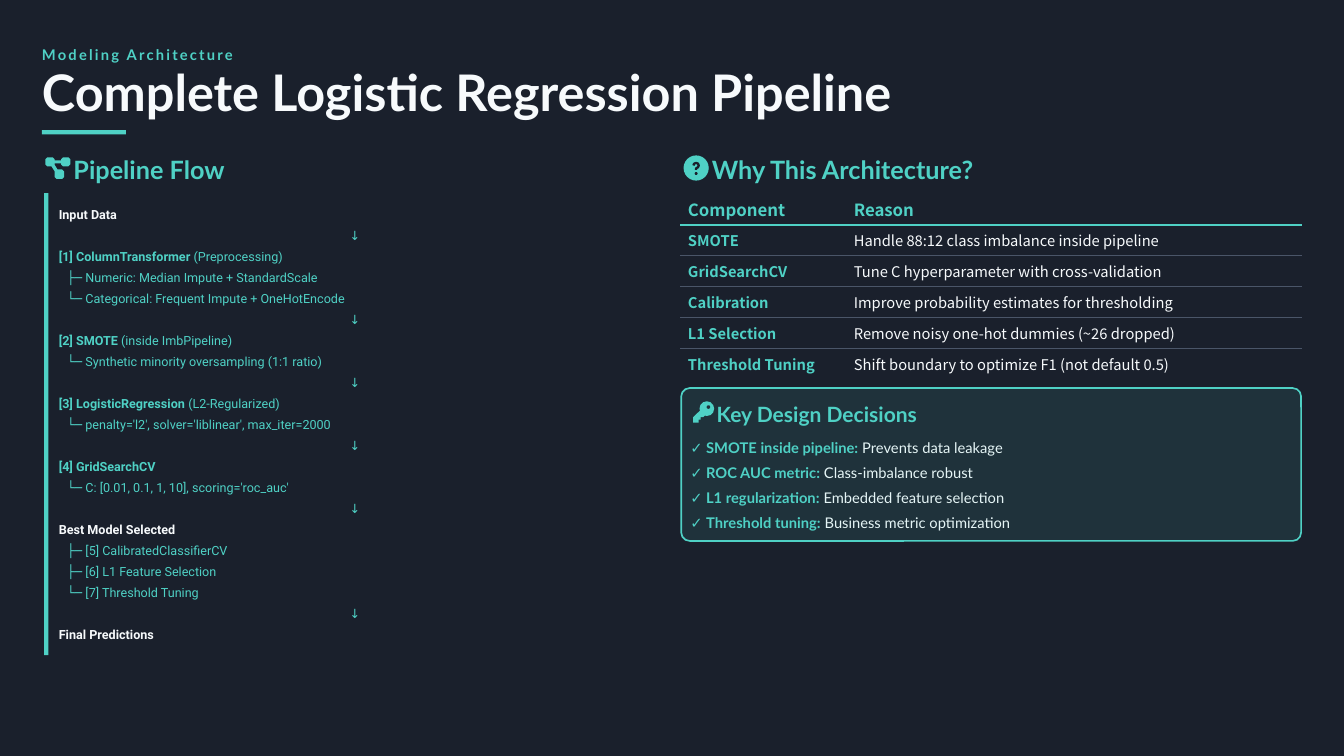
"""Build a slide that explains a logistic regression pipeline and its design."""
from lxml.etree import SubElement
from pptx import Presentation
from pptx.dml.color import RGBColor
from pptx.enum.shapes import MSO_SHAPE as Shape
from pptx.enum.text import MSO_ANCHOR as Anchor, MSO_AUTO_SIZE as AutoSize, PP_ALIGN as Align
from pptx.oxml import parse_xml
from pptx.oxml.ns import nsdecls, qn
from pptx.util import Pt

COLORS = {"ground": "1A202C", "teal": "4FD1C5", "white": "F7FAFC", "rule": "4A5568", "hole": "1F323B"}

STYLES = {
    "kicker": ("teal", {"name": "Lato", "size": Pt(14), "bold": True}),
    "title": ("white", {"name": "Lato", "size": Pt(48), "bold": True}),
    "heading": ("teal", {"name": "Lato", "size": Pt(24), "bold": True}),
    "card heading": ("teal", {"name": "Lato", "size": Pt(20), "bold": True}),
    "term": ("teal", {"name": "Lato", "size": Pt(14), "bold": True}),
    "note": ("white", {"name": "Lato", "size": Pt(14), "bold": False}),
    "endpoint": ("white", {"name": "Roboto", "size": Pt(12), "bold": True}),
    "step": ("teal", {"name": "Roboto", "size": Pt(12), "bold": True}),
    "detail": ("teal", {"name": "Roboto", "size": Pt(12), "bold": False}),
    "column": ("teal", {"name": "Noto Sans CJK SC", "size": Pt(16), "bold": True}),
    "component": ("teal", {"name": "Noto Sans CJK SC", "size": Pt(14), "bold": True}),
    "reason": ("white", {"name": "Noto Sans CJK SC", "size": Pt(14), "bold": False}),
}

ARROW = [("↓", "detail")]
FLOW = [
    [("Input Data", "endpoint")],
    ARROW,
    [("[1] ColumnTransformer", "step"), (" (Preprocessing)", "detail")],
    [("├─ Numeric: Median Impute + StandardScale", "detail")],
    [("└─ Categorical: Frequent Impute + OneHotEncode", "detail")],
    ARROW,
    [("[2] SMOTE", "step"), (" (inside ImbPipeline)", "detail")],
    [("└─ Synthetic minority oversampling (1:1 ratio)", "detail")],
    ARROW,
    [("[3] LogisticRegression", "step"), (" (L2-Regularized)", "detail")],
    [("└─ penalty='l2', solver='liblinear', max_iter=2000", "detail")],
    ARROW,
    [("[4] GridSearchCV", "step")],
    [("└─ C: [0.01, 0.1, 1, 10], scoring='roc_auc'", "detail")],
    ARROW,
    [("Best Model Selected", "endpoint")],
    [("├─ [5] CalibratedClassifierCV", "detail")],
    [("├─ [6] L1 Feature Selection", "detail")],
    [("└─ [7] Threshold Tuning", "detail")],
    ARROW,
    [("Final Predictions", "endpoint")],
]
REASONS = [
    ("Component", "Reason"),
    ("SMOTE", "Handle 88:12 class imbalance inside pipeline"),
    ("GridSearchCV", "Tune C hyperparameter with cross-validation"),
    ("Calibration", "Improve probability estimates for thresholding"),
    ("L1 Selection", "Remove noisy one-hot dummies (~26 dropped)"),
    ("Threshold Tuning", "Shift boundary to optimize F1 (not default 0.5)"),
]
DECISIONS = [
    ("SMOTE inside pipeline:", " Prevents data leakage"),
    ("ROC AUC metric:", " Class-imbalance robust"),
    ("L1 regularization:", " Embedded feature selection"),
    ("Threshold tuning:", " Business metric optimization"),
]
NETWORK = [
    (43.2, 151.6), (45, 149.8), (50.2, 149.8), (52, 151.6), (52, 152.8), (58.2, 152.8), (58.2, 151.6),
    (60, 149.8), (65.2, 149.8), (67, 151.6), (67, 156.6), (65.2, 158.4), (60, 158.4), (58.2, 156.6),
    (58.2, 155.6), (52, 155.6), (52, 156.8), (54.8, 161.4), (59.2, 161.4), (61, 163.2), (61, 168.6),
    (59.2, 170.4), (53.8, 170.4), (52, 168.6), (52, 163), (49, 158.4), (45, 158.4), (43.2, 156.6),
]
QUESTION = [(660.4, 157.6), (661.2, 155.8), (663, 155.2), (664.8, 155.8), (665.5, 157.6),
            (664.8, 159.3), (663, 160.4), (663, 161.8)]
KEY = [(666.7, 391), (660.2, 397.4), (660.2, 402.5), (665.3, 402.5), (665.3, 399.6),
       (667.4, 399.6), (667.4, 397.4), (669.6, 397.4), (671.8, 395.3)]


def color(name):
    """Return the named colour."""
    return RGBColor.from_string(COLORS[name])


class Deck:
    """Hold the style and the current slide, and add elements in points."""

    def __init__(self):
        self.presentation = Presentation()
        self.presentation.slide_width, self.presentation.slide_height = Pt(1280), Pt(720)
        self.slide = self.presentation.slides.add_slide(self.presentation.slide_layouts[1])
        self.slide.background.fill.solid()
        self.slide.background.fill.fore_color.rgb = color("ground")

    def runs(self, paragraph, runs):
        for text, style in runs:
            run = paragraph.add_run()
            run.text = text
            color_name, values = STYLES[style]
            for key, value in values.items():
                setattr(run.font, key, value)
            run.font.color.rgb = color(color_name)

    def frame(self, shape):
        frame = shape.text_frame
        values = {"word_wrap": True, "auto_size": AutoSize.NONE, "vertical_anchor": Anchor.MIDDLE,
                  "margin_left": 0, "margin_right": 0, "margin_top": 0, "margin_bottom": 0}
        for key, value in values.items():
            setattr(frame, key, value)
        return frame

    def place(self, shape, box):
        for key, value in zip(("left", "top", "width", "height"), box):
            setattr(shape, key, Pt(value))

    def text(self, box, runs, align=Align.LEFT, spacing=1.1, shape=None):
        shape = shape or self.slide.shapes.add_textbox(0, 0, 0, 0)
        self.place(shape, box)
        paragraph = self.frame(shape).paragraphs[0]
        paragraph.alignment, paragraph.line_spacing = align, spacing
        self.runs(paragraph, runs)
        return paragraph

    def title(self, box, text):
        self.text(box, [(text, "title")], spacing=0.8, shape=self.slide.shapes.title)

    def checklist(self, box, items):
        body = self.slide.placeholders[1]
        self.place(body, box)
        frame = self.frame(body)
        for index, (term, note) in enumerate(items):
            paragraph = frame.add_paragraph() if index else frame.paragraphs[0]
            properties = paragraph._p.get_or_add_pPr()
            properties.set("marL", str(Pt(15)))
            properties.set("indent", str(-Pt(15)))
            SubElement(SubElement(properties, qn("a:buClr")), qn("a:srgbClr"), val=COLORS["teal"])
            SubElement(properties, qn("a:buFont"), typeface="Lato")
            SubElement(properties, qn("a:buChar"), char="✓")
            paragraph.line_spacing = 1.2
            paragraph.space_before = Pt(3.7 if index else 0)
            self.runs(paragraph, [(term, "term"), (note, "note")])

    def shape(self, kind, box, fill="teal", line=None, alpha=None, radius=None):
        shape = self.slide.shapes.add_shape(kind, *map(Pt, box))
        shape.shadow.inherit = False
        if radius:
            shape.adjustments[0] = radius / min(box[2:])
        shape.fill.solid()
        shape.fill.fore_color.rgb = color(fill)
        if alpha:
            fill_color = shape._element.spPr.find(qn("a:solidFill"))[0]
            SubElement(fill_color, qn("a:alpha"), val=str(alpha * 1000))
        if line:
            shape.line.color.rgb, shape.line.width = color(line), Pt(1.6)
        else:
            shape.line.fill.background()

    def outline(self, points, fill=None, line=None):
        start, *rest = [(Pt(x), Pt(y)) for x, y in points]
        builder = self.slide.shapes.build_freeform(*start)
        builder.add_line_segments(rest, close=bool(fill))
        shape = builder.convert_to_shape()
        shape.shadow.inherit = False
        shape.line.width = Pt(2.2)
        for part, name in ((shape.fill, fill), (shape.line.fill, line)):
            if name:
                part.solid()
                part.fore_color.rgb = color(name)
            else:
                part.background()

    def border(self, cell, sides):
        properties = cell._tc.get_or_add_tcPr()
        for index, side in enumerate("LRTB"):
            name, width = sides.get(side, (None, 0))
            fill = f'<a:solidFill><a:srgbClr val="{COLORS[name]}"/></a:solidFill>' if name else "<a:noFill/>"
            properties.insert(index, parse_xml(f'<a:ln{side} {nsdecls("a")} w="{Pt(width)}">{fill}</a:ln{side}>'))

    def table(self, box, widths, rows):
        table = self.slide.shapes.add_table(len(rows), len(widths), *map(Pt, box)).table
        table.horz_banding = False
        for column, width in zip(table.columns, widths):
            column.width = Pt(width)
        rules = [None, ("teal", 1.6), *[("rule", 0.8)] * (len(rows) - 2), None]
        for row, texts in enumerate(rows):
            sides = {side: rule for side, rule in zip("TB", rules[row:row + 2]) if rule}
            for column, text in enumerate(texts):
                cell = table.cell(row, column)
                cell.vertical_anchor = Anchor.MIDDLE
                cell.margin_top = cell.margin_bottom = Pt(2)
                cell.fill.background()
                self.border(cell, sides)
                style = ("component", "reason")[column] if row else "column"
                self.runs(cell.text_frame.paragraphs[0], [(text, style)])


def main():
    """Lay out the slide and save it."""
    deck = Deck()
    kicker = deck.text((40, 40, 1207, 20), [("Modeling Architecture", "kicker")], spacing=1.2)
    kicker.runs[0].font._element.set("spc", "210")
    deck.title((40, 68, 1224, 48), "Complete Logistic Regression Pipeline")
    deck.shape(Shape.RECTANGLE, (40, 124, 80, 4))

    deck.outline(NETWORK, fill="teal")
    deck.text((70, 144, 574, 32), [("Pipeline Flow", "heading")])
    deck.shape(Shape.RECTANGLE, (42, 184, 590, 440), "ground")
    deck.shape(Shape.RECTANGLE, (42, 184, 4, 440))
    for index, runs in enumerate(FLOW):
        left = 53 if runs is ARROW else 64 if runs[0][1] == "detail" else 56
        align = Align.CENTER if runs is ARROW else Align.LEFT
        height = 14.4 if runs[-1][1] in ("step", "endpoint") else 16
        deck.text((left, 196 + 20 * index, 570, height), runs, align)

    deck.shape(Shape.OVAL, (651, 148, 24, 24))
    deck.outline(QUESTION, line="ground")
    deck.shape(Shape.OVAL, (661.6, 163.8, 2.8, 2.8), "ground")
    deck.text((678, 144, 574, 32), [("Why This Architecture?", "heading")])
    deck.table((648, 184.6, 592, 177), (158, 434), REASONS)

    deck.shape(Shape.ROUNDED_RECTANGLE, (648.8, 369.6, 590.4, 145.6), line="teal", alpha=10, radius=8)
    deck.outline(KEY, fill="teal")
    deck.shape(Shape.OVAL, (666.2, 382.2, 14, 14))
    deck.shape(Shape.OVAL, (673, 386, 3.4, 3.4), "hole")
    deck.text((682.5, 378.4, 558, 28), [("Key Design Decisions", "card heading")], spacing=1.2)
    deck.checklist((657.5, 414.5, 580, 92), DECISIONS)
    deck.presentation.save("out.pptx")


if __name__ == "__main__":
    main()
